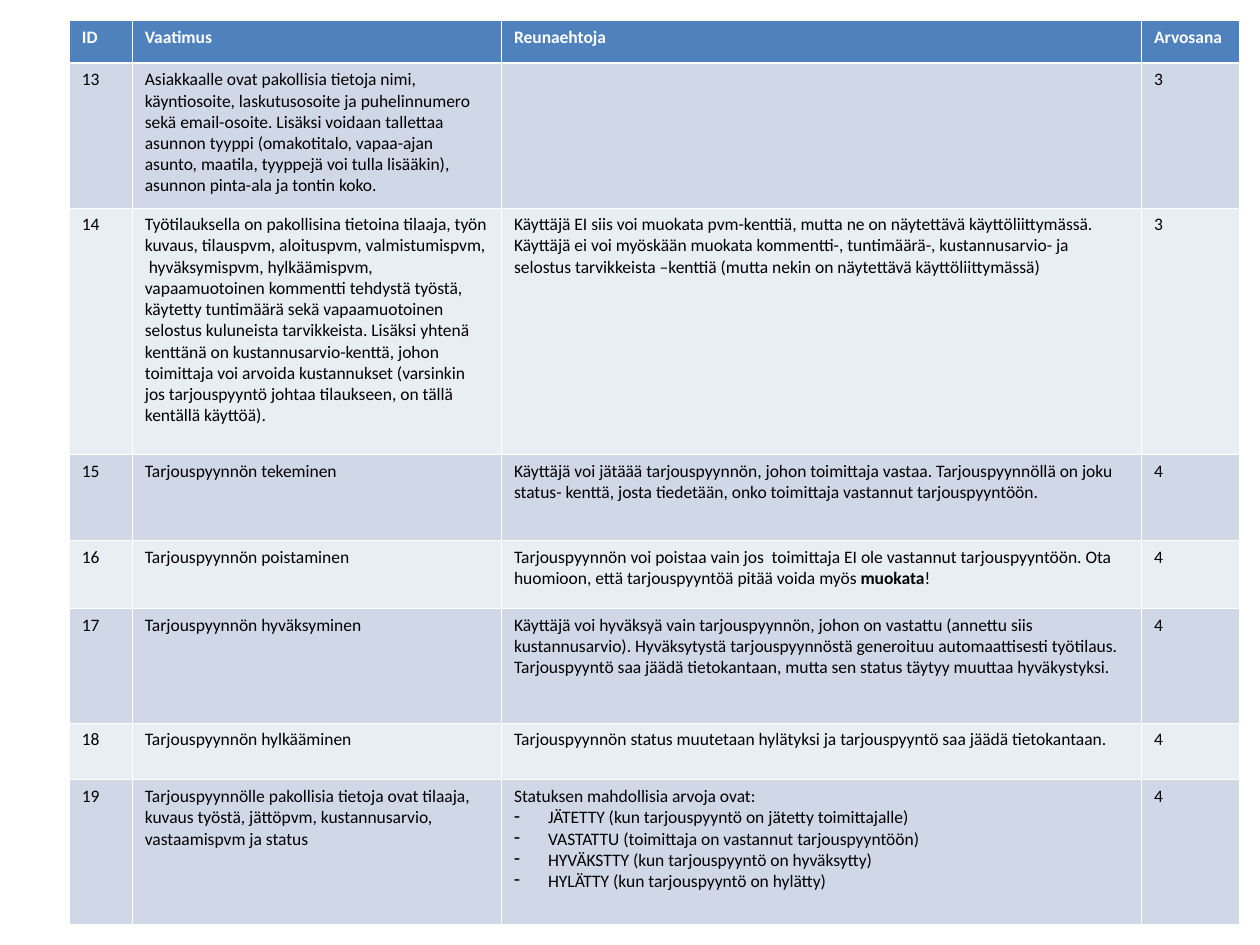
"""Build a slide with a table of numbered requirements, their constraints and grades."""
import pptx
import pptx.dml.color
import pptx.oxml
import pptx.oxml.ns
import pptx.util

HEADER = ("ID", "Vaatimus", "Reunaehtoja", "Arvosana")
REQUIREMENTS = [
    ("13", "Asiakkaalle ovat pakollisia tietoja nimi, käyntiosoite, laskutusosoite ja "
     "puhelinnumero sekä email-osoite. Lisäksi voidaan tallettaa asunnon tyyppi "
     "(omakotitalo, vapaa-ajan asunto, maatila, tyyppejä voi tulla lisääkin), asunnon "
     "pinta-ala ja tontin koko.", "", "3"),
    ("14", "Työtilauksella on pakollisina tietoina tilaaja, työn kuvaus, tilauspvm, "
     "aloituspvm, valmistumispvm,  hyväksymispvm, hylkäämispvm, vapaamuotoinen kommentti "
     "tehdystä työstä, käytetty tuntimäärä sekä vapaamuotoinen selostus kuluneista "
     "tarvikkeista. Lisäksi yhtenä kenttänä on kustannusarvio-kenttä, johon toimittaja voi "
     "arvoida kustannukset (varsinkin jos tarjouspyyntö johtaa tilaukseen, on tällä "
     "kentällä käyttöä).",
     "Käyttäjä EI siis voi muokata pvm-kenttiä, mutta ne on näytettävä käyttöliittymässä. "
     "Käyttäjä ei voi myöskään muokata kommentti-, tuntimäärä-, kustannusarvio- ja selostus "
     "tarvikkeista –kenttiä (mutta nekin on näytettävä käyttöliittymässä)", "3"),
    ("15", "Tarjouspyynnön tekeminen",
     "Käyttäjä voi jätäää tarjouspyynnön, johon toimittaja vastaa. Tarjouspyynnöllä on joku "
     "status- kenttä, josta tiedetään, onko toimittaja vastannut tarjouspyyntöön.", "4"),
    ("16", "Tarjouspyynnön poistaminen",
     "Tarjouspyynnön voi poistaa vain jos  toimittaja EI ole vastannut tarjouspyyntöön. Ota "
     "huomioon, että tarjouspyyntöä pitää voida myös *muokata*!", "4"),
    ("17", "Tarjouspyynnön hyväksyminen",
     "Käyttäjä voi hyväksyä vain tarjouspyynnön, johon on vastattu (annettu siis "
     "kustannusarvio). Hyväksytystä tarjouspyynnöstä generoituu automaattisesti työtilaus. "
     "Tarjouspyyntö saa jäädä tietokantaan, mutta sen status täytyy muuttaa hyväkystyksi.",
     "4"),
    ("18", "Tarjouspyynnön hylkääminen",
     "Tarjouspyynnön status muutetaan hylätyksi ja tarjouspyyntö saa jäädä tietokantaan.",
     "4"),
    ("19", "Tarjouspyynnölle pakollisia tietoja ovat tilaaja, kuvaus työstä, jättöpvm, "
     "kustannusarvio, vastaamispvm ja status",
     "Statuksen mahdollisia arvoja ovat:\n"
     "- JÄTETTY (kun tarjouspyyntö on jätetty toimittajalle)\n"
     "- VASTATTU (toimittaja on vastannut tarjouspyyntöön)\n"
     "- HYVÄKSTTY (kun tarjouspyyntö on hyväksytty)\n"
     "- HYLÄTTY (kun tarjouspyyntö on hylätty)", "4"),
]
COLS = (0.5, 2.93, 5.08, 0.78)
ROWS = (0.34, 1.15, 1.96, 0.68, 0.54, 0.91, 0.45, 1.15)
LEFT, TOP = 0.55, 0.16
THEME = {"font": "Calibri", "size": 10, "header": "4F81BD", "bands": ("D0D8E8", "E9EDF4"),
         "header_text": "FFFFFF", "text": "000000", "rule": "FFFFFF",
         "thin": 0.45, "thick": 1.47, "indent": 0.27}
NS = pptx.oxml.ns.nsdecls("a")


def rgb(value):
    return pptx.dml.color.RGBColor.from_string(value)


def set_borders(cell, row):
    tcPr = cell._tc.get_or_add_tcPr()
    for side in "LRTB":
        thick = (row, side) in ((0, "B"), (1, "T"))
        width = pptx.util.Pt(THEME["thick" if thick else "thin"])
        tcPr.append(pptx.oxml.parse_xml(
            f'<a:ln{side} {NS} w="{width}"><a:solidFill><a:srgbClr val="{THEME["rule"]}"/>'
            f'</a:solidFill></a:ln{side}>'))


def set_bullet(p):
    pPr = p._p.get_or_add_pPr()
    indent = pptx.util.Inches(THEME["indent"])
    pPr.set("marL", str(indent))
    pPr.set("indent", str(-indent))
    pPr.insert(0, pptx.oxml.parse_xml(f'<a:buChar {NS} char="-"/>'))


def write_line(p, line, is_header):
    p.font.name = THEME["font"]
    p.font.size = pptx.util.Pt(THEME["size"])
    p.font.color.rgb = rgb(THEME["header_text" if is_header else "text"])
    if is_header:
        p.font.bold = True
    if line.startswith("- "):
        set_bullet(p)
        line = line[2:]
    for i, part in enumerate(line.split("*")):
        if part:
            r = p.add_run()
            r.text = part
            if i % 2:
                r.font.bold = True


def fill_cell(cell, text, row):
    set_borders(cell, row)
    cell.fill.solid()
    cell.fill.fore_color.rgb = rgb(THEME["bands"][(row - 1) % 2] if row else THEME["header"])
    tf = cell.text_frame
    for i, line in enumerate(text.split("\n")):
        write_line(tf.add_paragraph() if i else tf.paragraphs[0], line, row == 0)


def main():
    prs = pptx.Presentation()
    prs.slide_width, prs.slide_height = pptx.util.Inches(10), pptx.util.Inches(7.5)
    s = prs.slides.add_slide(prs.slide_layouts[6])
    box = [pptx.util.Inches(v) for v in (LEFT, TOP, sum(COLS), sum(ROWS))]
    table = s.shapes.add_table(len(ROWS), len(COLS), *box).table
    for column, width in zip(table.columns, COLS):
        column.width = pptx.util.Inches(width)
    for row, height in zip(table.rows, ROWS):
        row.height = pptx.util.Inches(height)
    for row, texts in enumerate([HEADER, *REQUIREMENTS]):
        for col, text in enumerate(texts):
            fill_cell(table.cell(row, col), text, row)
    prs.save("out.pptx")


if __name__ == "__main__":
    main()
